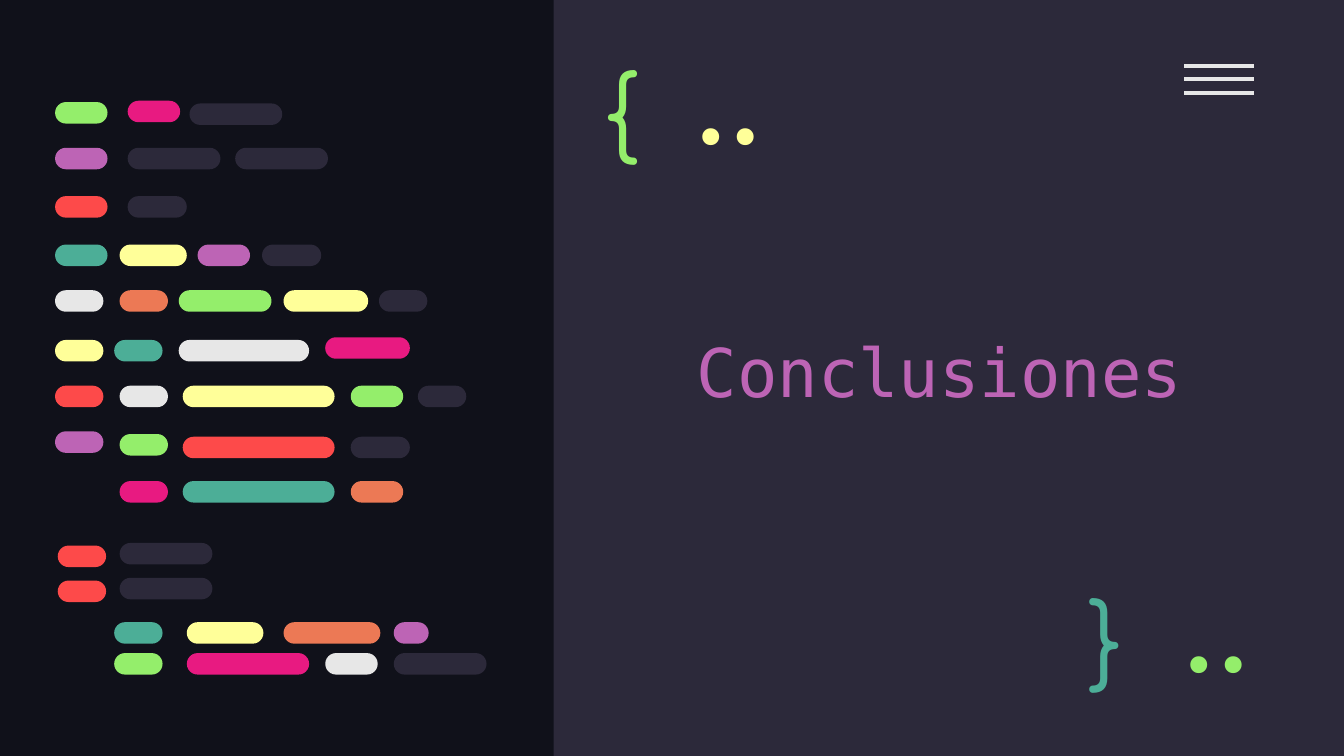
"""Build a closing slide with a code-like panel of coloured pills."""
from lxml import etree
from pptx import Presentation
from pptx.dml.color import RGBColor
from pptx.enum.shapes import MSO_CONNECTOR, MSO_SHAPE
from pptx.enum.text import MSO_ANCHOR, MSO_AUTO_SIZE, PP_ALIGN
from pptx.oxml.ns import qn
from pptx.util import Inches, Pt

RECT, PILL = MSO_SHAPE.RECTANGLE, MSO_SHAPE.ROUNDED_RECTANGLE
LINE = MSO_CONNECTOR.STRAIGHT
TOP, MID = MSO_ANCHOR.TOP, MSO_ANCHOR.MIDDLE
LEFT, MAIN, RIGHT = PP_ALIGN.LEFT, PP_ALIGN.CENTER, PP_ALIGN.RIGHT
FIXED = MSO_AUTO_SIZE.NONE

WIDE = 10
HIGH = WIDE * 9 / 16
SPLIT = 4.12
THICK = 0.16
HUES = {
    "night": "10111A", "slate": "2C293A", "lime": "94EE6B", "pink": "E81A81",
    "plum": "BD64B5", "red": "FD4A4A", "teal": "4CAE97", "lemon": "FFFF99",
    "white": "E7E7E7", "coral": "EC7955",
}

ROWS = [
    (0.76, [(0.41, 0.39, "lime")]),
    (0.75, [(0.95, 0.39, "pink")]),
    (0.77, [(1.41, 0.69, "slate")]),
    (1.1, [(0.41, 0.39, "plum"), (0.95, 0.69, "slate"), (1.75, 0.69, "slate")]),
    (1.46, [(0.41, 0.39, "red"), (0.95, 0.44, "slate")]),
    (1.82, [(0.41, 0.39, "teal"), (0.89, 0.5, "lemon"), (1.47, 0.39, "plum"),
            (1.95, 0.44, "slate")]),
    (2.16, [(0.41, 0.36, "white"), (0.89, 0.36, "coral"), (1.33, 0.69, "lime"),
            (2.11, 0.63, "lemon"), (2.82, 0.36, "slate")]),
    (2.53, [(0.41, 0.36, "lemon"), (0.85, 0.36, "teal"), (1.33, 0.97, "white")]),
    (2.51, [(2.42, 0.63, "pink")]),
    (2.87, [(0.41, 0.36, "red"), (0.89, 0.36, "white"), (1.36, 1.13, "lemon"),
            (2.61, 0.39, "lime"), (3.11, 0.36, "slate")]),
    (3.21, [(0.41, 0.36, "plum")]),
    (3.23, [(0.89, 0.36, "lime")]),
    (3.25, [(1.36, 1.13, "red"), (2.61, 0.44, "slate")]),
    (3.58, [(0.89, 0.36, "pink"), (1.36, 1.13, "teal"), (2.61, 0.39, "coral")]),
    (4.06, [(0.43, 0.36, "red")]),
    (4.04, [(0.89, 0.69, "slate")]),
    (4.32, [(0.43, 0.36, "red")]),
    (4.3, [(0.89, 0.69, "slate")]),
    (4.63, [(0.85, 0.36, "teal"), (1.39, 0.57, "lemon"), (2.11, 0.72, "coral"),
            (2.93, 0.26, "plum")]),
    (4.86, [(0.85, 0.36, "lime"), (1.39, 0.91, "pink"), (2.42, 0.39, "white"),
            (2.93, 0.69, "slate")]),
]

TITLE = ("Conclusiones", (4.76, 1.43, 4.46, 2.77), "plum")
BRACE = {"font": "Comfortaa", "size": 50, "align": LEFT, "anchor": TOP}
DOTS = {"font": "Fira Code", "size": 50, "align": RIGHT, "anchor": MID}
HEAD = {"font": "DejaVu Sans Mono", "size": 36, "align": MAIN, "anchor": MID,
        "space": 0.8}
MARKS = [
    ("{", (4.39, 0.27, 0.77, 0.95), "lime", BRACE),
    ("}", (8, 4.2, 0.57, 0.83), "teal", BRACE),
    ("..", (8.51, 4.43, 1.07, 0.6), "lime", DOTS),
    ("..", (4.88, 0.5, 1.07, 0.6), "lemon", DOTS),
]
MENU = {"left": 8.81, "right": 9.33, "top": 0.49, "step": 0.1, "count": 3}


def tint(code):
    return RGBColor.from_string(code)


def paint(fill, hue):
    fill.solid()
    fill.fore_color.rgb = tint(HUES[hue])


def block(slide, kind, box, hue):
    shape = slide.shapes.add_shape(kind, *map(Inches, box))
    shape.shadow.inherit = False
    paint(shape.fill, hue)
    shape.line.fill.background()
    return shape


def write(shape, words, hue, style):
    frame = shape.text_frame
    frame.text = words
    pad = Inches(0.1)
    para = frame.paragraphs[0]
    font = para.runs[0].font
    sets = [
        (frame, {"word_wrap": True, "auto_size": FIXED,
                 "vertical_anchor": style["anchor"],
                 "margin_left": pad, "margin_right": pad,
                 "margin_top": pad, "margin_bottom": pad}),
        (para, {"alignment": style["align"],
                "line_spacing": style.get("space", 1.0)}),
        (font, {"name": style["font"], "size": Pt(style["size"])}),
    ]
    for item, pairs in sets:
        for key, value in pairs.items():
            setattr(item, key, value)
    font.color.rgb = tint(HUES[hue])


def menu(slide):
    for row in range(MENU["count"]):
        y = Inches(MENU["top"] + row * MENU["step"])
        line = slide.shapes.add_connector(
            LINE, Inches(MENU["left"]), y, Inches(MENU["right"]), y)
        line.line.width = Pt(2.25)
        line.line.color.rgb = tint(HUES["white"])
        etree.SubElement(line._element.spPr, qn("a:effectLst"))


def head(slide):
    words, box, hue = TITLE
    title = slide.shapes.title
    for key, value in zip(("left", "top", "width", "height"), box):
        setattr(title, key, Inches(value))
    write(title, words, hue, HEAD)
    tree = slide.shapes._spTree
    tree.remove(title._element)
    tree.append(title._element)


def main():
    deck = Presentation()
    deck.slide_width, deck.slide_height = Inches(WIDE), Inches(HIGH)
    slide = deck.slides.add_slide(deck.slide_layouts[5])
    paint(slide.background.fill, "night")
    block(slide, RECT, (SPLIT, 0, WIDE - SPLIT, HIGH), "slate")
    menu(slide)
    head(slide)
    for top, pills in ROWS:
        for left, width, hue in pills:
            pill = block(slide, PILL, (left, top, width, THICK), hue)
            pill.adjustments[0] = 0.5
    for words, box, hue, style in MARKS:
        write(slide.shapes.add_textbox(*map(Inches, box)), words, hue, style)
    deck.save("out.pptx")


if __name__ == "__main__":
    main()
